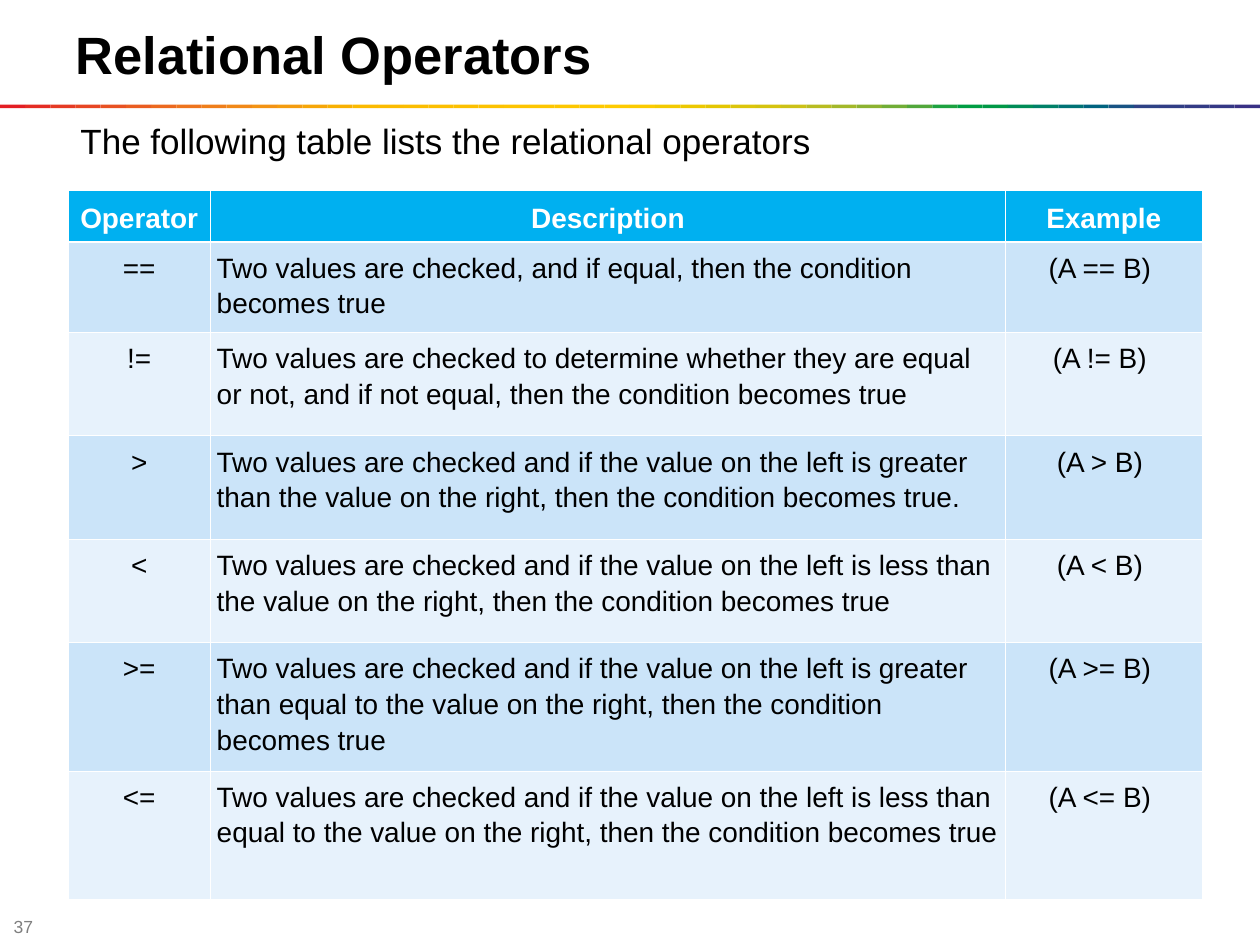
from lxml.etree import SubElement
from pptx import Presentation
from pptx.dml.color import RGBColor
from pptx.enum.shapes import MSO_SHAPE as Shape
from pptx.enum.text import MSO_ANCHOR as Anchor, PP_ALIGN as Align
from pptx.oxml.ns import qn
from pptx.util import Pt

PX = 9144  # EMU per px, 100 px to the inch
FONT = "Arial"
COLORS = {
    "black": "000000",
    "white": "FFFFFF",
    "gray": "7F7F7F",
    "header": "00B0F0",
    "odd row": "CBE4F9",
    "even row": "E7F2FC",
}
RAINBOW = """
E31E24 E42C24 E53A24 E74623 E85122 EA5D21 EC691F EE741D EF7E1A F18817
F39314 F49C0F F6A607 F8B002 FBBA00 FBBB00 FBBD00 FCBF00 FCC000 FCC200
FDC400 FDC600 FDC700 FEC900 FECB00 FBCB00 F3CA00 ECC800 E4C602 DCC50A
D5C30E CCC117 B8BC21 A3B829 8CB230 71AD36 51A73B 1DA240 009D43 009846
008C57 008068 007275 00637F 185384 2E4285 313E85 333B85 353885 393185
""".split()


def write(frame, text, size, color, bold=False, align=Align.LEFT):
    para = frame.paragraphs[0]
    para.alignment = align
    span = para.add_run()
    span.text = text
    span.font.name = FONT
    span.font.size = Pt(size)
    span.font.bold = bold
    span.font.color.rgb = RGBColor.from_string(COLORS[color])
    return para


def add_border(cell, side, width):
    line = SubElement(cell._tc.get_or_add_tcPr(), qn(f"a:ln{side}"), w=str(Pt(width)))
    fill = SubElement(line, qn("a:solidFill"))
    SubElement(fill, qn("a:srgbClr"), val=COLORS["white"])


deck = Presentation()
deck.slide_width, deck.slide_height = 1000 * PX, 750 * PX
page = deck.slides.add_slide(deck.slide_layouts[5])

# Rainbow rule under the title
step = 1000 // len(RAINBOW)
for index, color in enumerate(RAINBOW):
    stripe = page.shapes.add_shape(
        Shape.RECTANGLE, index * step * PX, 83 * PX, step * PX, 3 * PX)
    stripe.shadow.inherit = False
    stripe.fill.solid()
    stripe.fill.fore_color.rgb = RGBColor.from_string(color)
    stripe.line.fill.background()

# Title
title = page.shapes.title
title.left, title.top, title.width, title.height = 50 * PX, 12 * PX, 900 * PX, 61 * PX
title.text_frame.vertical_anchor = Anchor.MIDDLE
write(title.text_frame, "Relational Operators", 30, "black", bold=True)

# Operator table
HEADER = ("Operator", "Description", "Example")
CHECKED = "Two values are checked"
LEFT_IS = f"{CHECKED} and if the value on the left is"
RIGHT_THEN = "the value on the right, then the condition becomes true"
DESCRIPTIONS = {
    "==": f"{CHECKED}, and if equal, then the condition becomes true",
    "!=": f"{CHECKED} to determine whether they are equal or not, "
          "and if not equal, then the condition becomes true",
    ">": f"{LEFT_IS} greater than {RIGHT_THEN}.",
    "<": f"{LEFT_IS} less than {RIGHT_THEN}",
    ">=": f"{LEFT_IS} greater than equal to {RIGHT_THEN}",
    "<=": f"{LEFT_IS} less than equal to {RIGHT_THEN}",
}
rows = [HEADER] + [(sign, text, f"(A {sign} B) ") for sign, text in DESCRIPTIONS.items()]
column_widths = (113, 631, 156)
row_heights = (41, 72, 82, 82, 82, 102, 102)

table = page.shapes.add_table(
    len(rows), len(HEADER), 54 * PX, 151 * PX,
    sum(column_widths) * PX, sum(row_heights) * PX).table
for column, width in zip(table.columns, column_widths):
    column.width = width * PX
for row, height in zip(table.rows, row_heights):
    row.height = height * PX

for r, texts in enumerate(rows):
    is_header = r == 0
    fill_name = "header" if is_header else "odd row" if r % 2 else "even row"
    for c, text in enumerate(texts):
        cell = table.cell(r, c)
        cell.margin_left = cell.margin_right = 5 * PX
        cell.margin_top = cell.margin_bottom = 5 * PX
        cell.vertical_anchor = Anchor.MIDDLE if is_header else Anchor.TOP
        thick_side = {0: "B", 1: "T"}.get(r)
        for side in "LRTB":
            add_border(cell, side, 1.47 if side == thick_side else 0.45)
        cell.fill.solid()
        cell.fill.fore_color.rgb = RGBColor.from_string(COLORS[fill_name])
        para = write(
            cell.text_frame, text, 16, "white" if is_header else "black", bold=is_header,
            align=Align.LEFT if c == 1 and not is_header else Align.CENTER)
        para.line_spacing = 1.15

# Introduction and page number
for text, bounds, size, color, anchor in (
    ("The following table lists the relational operators",
     (54, 90, 900, 44), 20, "black", Anchor.TOP),
    ("37", (1, 727, 39, 16), 10, "gray", Anchor.MIDDLE),
):
    box = page.shapes.add_textbox(*(length * PX for length in bounds))
    box.text_frame.word_wrap = True
    box.text_frame.vertical_anchor = anchor
    write(box.text_frame, text, size, color)

deck.save("out.pptx")
